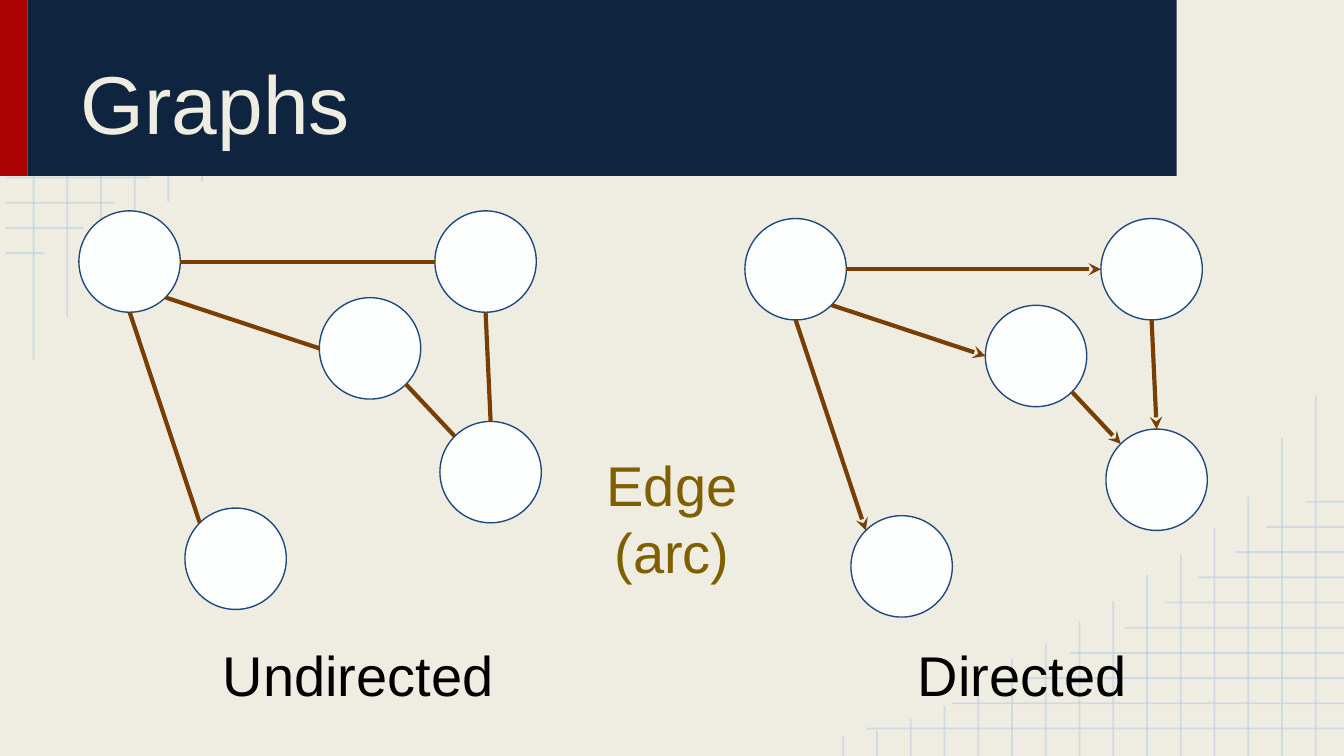
"""Build the slide that sets an undirected graph beside a directed one."""
import pptx
import pptx.dml.color
import pptx.enum.shapes
import pptx.enum.text
import pptx.oxml
import pptx.oxml.ns
import pptx.util

Pt = pptx.util.Pt
KIND = pptx.enum.shapes.MSO_SHAPE
ALIGN = pptx.enum.text.PP_ALIGN
ANCHOR = pptx.enum.text.MSO_ANCHOR


def paint(form, code):
    form.solid()
    form.fore_color.rgb = pptx.dml.color.RGBColor.from_string(code)


def link(start, end, code, width):
    line = slide.shapes.add_connector(
        pptx.enum.shapes.MSO_CONNECTOR.STRAIGHT, *map(Pt, start + end))
    paint(line.line.fill, code)
    line.line.width = Pt(width)
    props = line.element.spPr
    props.append(props.makeelement(pptx.oxml.ns.qn("a:effectLst"), {}))
    return line


deck = pptx.Presentation()
deck.slide_width, deck.slide_height = Pt(720), Pt(405)
slide = deck.slides.add_slide(deck.slide_layouts[5])
paint(slide.background.fill, "EFEDE2")

# Only the grid lines that reach below the header are drawn at the left.
rows = [256, 210, 170.5, 147, 117.5, 96, 78, 58.5, 41.5, 20.5]
cols = [193, 170, 139, 122, 108, 97, 83, 72, 60.5, 52, 40, 27, 20, 13.5, 11]
head = 94.3
grid = []
for i, size in enumerate(rows):
    y = 14.1 + 13.5 * i
    if y > head:
        grid.append(((2.9, y), (2.9 + size, y)))
    y = 390.3 - 13.5 * i
    grid.append(((720, y), (720 - size, y)))
for i, size in enumerate(cols):
    if size > head:
        x = 18 + 18.06 * i
        grid.append(((x, size), (x, 0)))
    x = 704.9 - 18.08 * i
    grid.append(((x, 405 - size), (x, 405)))
for start, end in grid:
    line = link(start, end, "B7CCE4", 1)
    tint = line.element.find(".//" + pptx.oxml.ns.qn("a:srgbClr"))
    tint.append(tint.makeelement(pptx.oxml.ns.qn("a:alpha"), {"val": "54000"}))

for left, width, code in [(0, 14.8, "AB0101"), (14.8, 615.6, "0F243E")]:
    band = slide.shapes.add_shape(KIND.RECTANGLE, Pt(left), 0, Pt(width), Pt(head))
    band.shadow.inherit = False
    paint(band.fill, code)
    band.line.fill.background()

side = 54.3
nodes = {"A": (0, 0), "B": (190.7, 0), "C": (128.8, 46.5),
         "D": (193.4, 112.8), "E": (56.8, 159.2)}
sites = {"top": (0.5, 0), "left": (0, 0.5), "base": (0.5, 1),
         "right": (1, 0.5), "upper": (0.146, 0.146), "lower": (0.854, 0.854)}
edges = [("A", "right", "B", "left"), ("A", "base", "E", "upper"),
         ("A", "lower", "C", "left"), ("B", "base", "D", "top"),
         ("C", "lower", "D", "upper")]
for left, top, arrow in [(42.3, 113, False), (399.1, 117.1, True)]:
    for x, y in nodes.values():
        node = slide.shapes.add_shape(
            KIND.OVAL, Pt(left + x), Pt(top + y), Pt(side), Pt(side))
        node.shadow.inherit = False
        paint(node.fill, "FDFFFF")
        paint(node.line.fill, "1F497D")
        node.line.width = Pt(0.75)
    for first, out, last, into in edges:
        ends = []
        for name, site in [(first, out), (last, into)]:
            (x, y), (u, v) = nodes[name], sites[site]
            ends.append((left + x + side * u, top + y + side * v))
        edge = link(*ends, "783F04", 2.25)
        if arrow:
            stroke = edge.line.fill._xPr
            stroke.append(stroke.makeelement(
                pptx.oxml.ns.qn("a:tailEnd"), {"type": "stealth"}))

title = slide.shapes.title
title.element.getparent().append(title.element)
texts = [(title, "Graphs", (36, 8, 576, 80), 44, "EFEDE2", ALIGN.LEFT, ANCHOR.BOTTOM)]
for text, area, code in [("Undirected", (31.7, 336.2, 320.4, 61), "000000"),
                         ("Directed", (387.4, 336.2, 320.4, 61), "000000"),
                         ("Edge (arc)", (291.6, 234, 136.8, 86), "7F6000")]:
    box = slide.shapes.add_textbox(*map(Pt, area))
    texts.append((box, text, area, 30, code, ALIGN.CENTER, ANCHOR.TOP))
for box, text, area, size, code, align, anchor in texts:
    frame = box.text_frame
    frame.text = text
    para = frame.paragraphs[0]
    edge = Pt(7.2)
    looks = [
        (box, dict(zip(("left", "top", "width", "height"), map(Pt, area)))),
        (frame, {"word_wrap": True, "vertical_anchor": anchor,
                 "auto_size": pptx.enum.text.MSO_AUTO_SIZE.NONE,
                 "margin_left": edge, "margin_right": edge,
                 "margin_top": edge, "margin_bottom": edge}),
        (para, {"alignment": align}),
        (para.runs[0].font, {"name": "Arial", "size": Pt(size)}),
    ]
    for item, look in looks:
        for key, value in look.items():
            setattr(item, key, value)
    paint(para.runs[0].font.fill, code)

deck.save("out.pptx")
